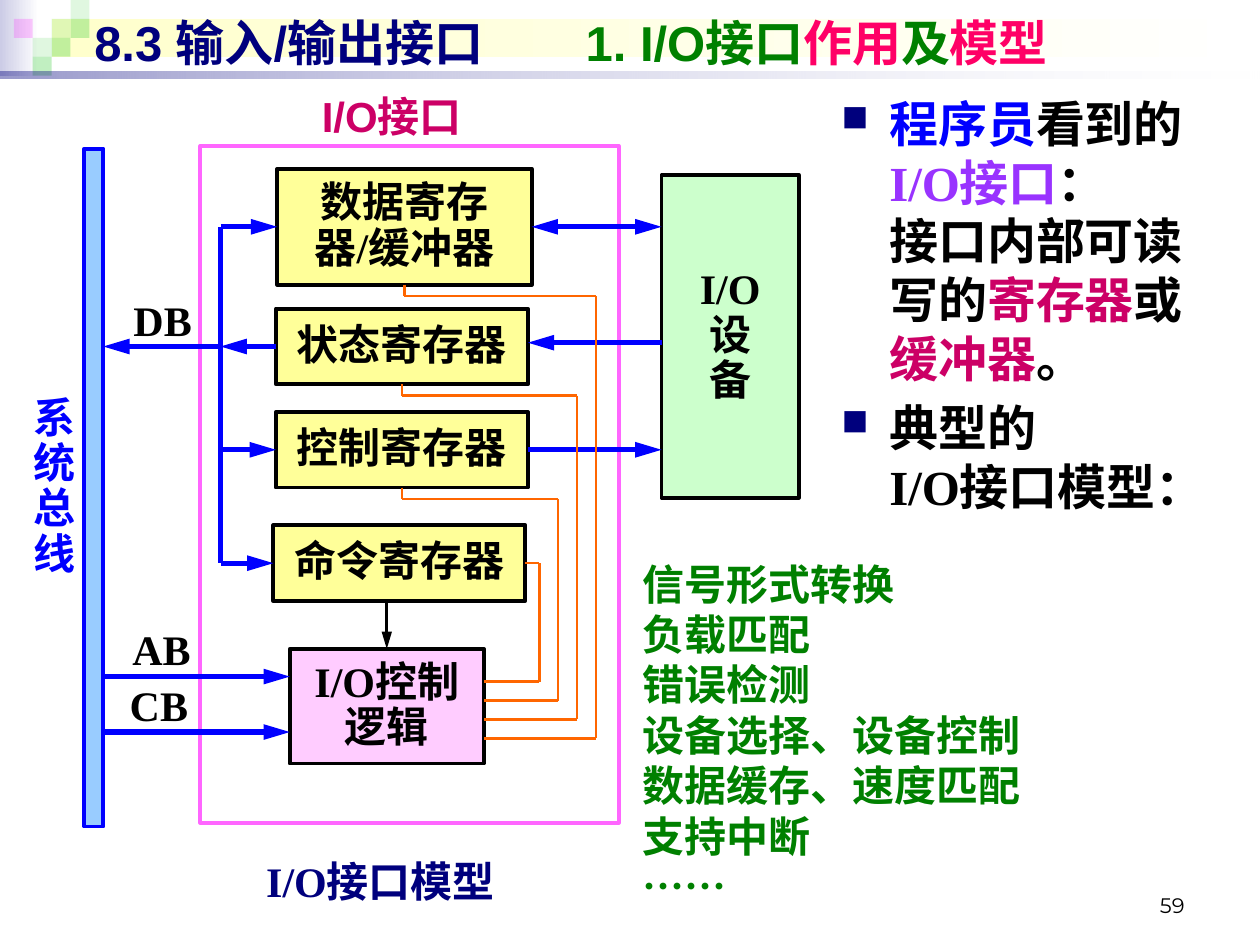
from dataclasses import dataclass
from typing import Any, NamedTuple, Optional

from lxml.etree import SubElement as Sub
from pptx import Presentation
from pptx.dml.color import RGBColor as Rgb
from pptx.enum.shapes import MSO_CONNECTOR as Link, MSO_SHAPE as Kind
from pptx.enum.text import MSO_ANCHOR as Anchor, PP_ALIGN as Align
from pptx.oxml.ns import qn
from pptx.util import Pt

SCALE = 9144


@dataclass(frozen=True)
class Theme:
    """Hold the colours, fonts and type sizes."""
    navy: str = "00007D"
    blue: str = "0000FF"
    sky: str = "99CCFF"
    black: str = "000000"
    white: str = "FFFFFF"
    cream: str = "FFFFCC"
    mist: str = "CCCCE6"
    lime: str = "33CC33"
    pink: str = "FF00FF"
    frame: str = "FF66FF"
    yellow: str = "FFFF99"
    mint: str = "CCFFCC"
    rose: str = "FFCCFF"
    orange: str = "FF6600"
    green: str = "008000"
    red: str = "FF0066"
    wine: str = "CC0066"
    violet: str = "9933FF"
    serif: str = "Times New Roman"
    sans: str = "Arial"
    cjk: str = "Noto Sans CJK SC"
    foot: str = "Montserrat"
    big: int = 28
    mid: int = 24
    small: int = 12


T = Theme()


class Rect(NamedTuple):
    """Give a place and size in px."""
    x: int
    y: int
    w: int
    h: int


class Span(NamedTuple):
    """Give words in one colour."""
    text: str
    tint: str
    font: Optional[str] = None


@dataclass(frozen=True)
class Look:
    """Describe how a text is set."""
    size: int = T.mid
    font: str = T.serif
    bold: bool = True
    align: Any = Align.CENTER
    anchor: Any = Anchor.MIDDLE
    pad: tuple = (10, 5)
    lead: Optional[float] = 0.9
    gap: int = 0
    mark: bool = False
    tab: int = 0


@dataclass(frozen=True)
class Box:
    """Describe a filled or framed box."""
    rect: Rect
    fill: Optional[str] = None
    line: Optional[str] = None
    words: str = ""


@dataclass(frozen=True)
class Wire:
    """Describe a line between points or box sides."""
    start: tuple
    end: tuple
    tint: str = T.blue
    width: float = 3
    tips: tuple = ("tail",)


class Note(NamedTuple):
    """Describe a text without a box."""
    rect: Rect
    paras: list
    look: Look


def emu(px: float) -> int:
    """Turn px into EMU."""
    return round(px * SCALE)


def put(item: Any, vals: dict) -> None:
    """Set attributes from a dict."""
    for key, val in vals.items():
        setattr(item, key, val)


def plain(words: str, tint: str) -> list:
    """Make one paragraph of each line."""
    return [[Span(row, tint)] for row in words.split("\n")]


def write(shape: Any, paras: list, look: Look) -> None:
    """Fill a shape with paragraphs."""
    frame = shape.text_frame
    side, top = map(emu, look.pad)
    put(frame, dict(word_wrap=True, vertical_anchor=look.anchor, margin_left=side,
                    margin_right=side, margin_top=top, margin_bottom=top))
    for num, spans in enumerate(paras):
        para = frame.add_paragraph() if num else frame.paragraphs[0]
        props = para._p.get_or_add_pPr()
        if look.mark:
            put_mark(props)
        if look.tab:
            Sub(Sub(props, qn("a:tabLst")), qn("a:tab"), pos=str(emu(look.tab)), algn="l")
        put(para, dict(alignment=look.align, line_spacing=look.lead,
                       space_before=Pt(look.gap if num else 0)))
        for span in spans:
            for row, text in enumerate(span.text.split("\n")):
                if row:
                    para.add_line_break()
                run = para.add_run()
                run.text = text
                put(run.font, dict(size=Pt(look.size), bold=look.bold, name=span.font or look.font))
                run.font.color.rgb = Rgb.from_string(span.tint)


def put_mark(props: Any) -> None:
    """Add a square bullet with a hanging indent."""
    props.set("marL", str(emu(38)))
    props.set("indent", str(-emu(38)))
    Sub(Sub(props, qn("a:buClr")), qn("a:srgbClr"), val=T.navy)
    Sub(props, qn("a:buSzPct"), val="75000")
    Sub(props, qn("a:buChar"), char="■")


def draw(shapes: Any, box: Box) -> Any:
    """Draw a box with its words."""
    shape = shapes.add_shape(Kind.RECTANGLE, *map(emu, box.rect))
    shape.shadow.inherit = False
    if box.fill:
        shape.fill.solid()
        shape.fill.fore_color.rgb = Rgb.from_string(box.fill)
    else:
        shape.fill.background()
    if box.line:
        shape.line.color.rgb = Rgb.from_string(box.line)
        shape.line.width = Pt(2.25)
    else:
        shape.line.fill.background()
    if box.words:
        write(shape, plain(box.words, T.black), Look())
    return shape


def fade(shape: Any, *rates: int) -> None:
    """Set the opacity of each fill colour in percent."""
    for tint, rate in zip(shape.element.spPr.iter(qn("a:srgbClr")), rates):
        Sub(tint, qn("a:alpha"), val=str(rate * 1000))


def blend(shapes: Any, rect: Rect, tints: tuple, rates: tuple = ()) -> None:
    """Draw a band that runs from one colour to another."""
    shape = draw(shapes, Box(rect))
    shape.fill.gradient()
    shape.fill.gradient_angle = 0
    for stop, tint in zip(shape.fill.gradient_stops, tints):
        stop.color.rgb = Rgb.from_string(tint)
    fade(shape, *rates)


def spot(end: tuple, boxes: dict) -> tuple:
    """Find the point of a wire's end."""
    if not isinstance(end[0], str):
        return end
    x, y, w, h = boxes[end[0]].rect
    return ((x + w // 2, y), (x, y + h // 2), (x + w // 2, y + h), (x + w, y + h // 2))[end[1]]


def join(shapes: Any, wire: Wire, boxes: dict, made: dict) -> None:
    """Draw a wire and tie it to its boxes."""
    ends = (wire.start, wire.end)
    line = shapes.add_connector(Link.STRAIGHT, *(emu(v) for end in ends for v in spot(end, boxes)))
    for end, tie in zip(ends, (line.begin_connect, line.end_connect)):
        if isinstance(end[0], str):
            tie(made[end[0]], end[1])
    line.line.color.rgb = Rgb.from_string(wire.tint)
    line.line.width = Pt(wire.width)
    for tip in wire.tips:
        Sub(line.line._get_or_add_ln(), qn(f"a:{tip}End"), type="triangle", w="med", len="lg")
    Sub(line.element.spPr, qn("a:effectLst"))


BOXES = {
    "data": Box(Rect(220, 134, 202, 92), T.yellow, T.black, "数据寄存器/缓冲器"),
    "state": Box(Rect(219, 245, 200, 60), T.yellow, T.black, "状态寄存器"),
    "control": Box(Rect(219, 327, 200, 60), T.yellow, T.black, "控制寄存器"),
    "command": Box(Rect(217, 417, 200, 60), T.yellow, T.black, "命令寄存器"),
    "logic": Box(Rect(230, 515, 154, 91), T.rose, T.black, "I/O控制\n逻辑"),
    "device": Box(Rect(525, 139, 109, 256), T.mint, T.black, "I/O\n设\n备"),
    "bus": Box(Rect(67, 118, 15, 538), T.sky, T.blue),
    "frame": Box(Rect(159, 116, 332, 537), None, T.frame),
}
WIRES = [
    Wire((175, 180), (175, 447), tips=()),
    *(Wire((175, spot((name, 1), BOXES)[1]), (name, 1)) for name in ("data", "control", "command")),
    Wire(("state", 1), (175, 275)),
    Wire((173, 275), (82, 275)),
    *(Wire((82, y), (230, y)) for y in (537, 581)),
    Wire((525, 272), (419, 272)),
    Wire(("control", 3), (525, 357)),
    Wire(("data", 3), (525, 180), tips=("head", "tail")),
    Wire((307, 477), ("logic", 0), T.black, 1.5),
]
TILES = ((41, 15, T.lime, 15), (56, 0, T.lime, 15), (56, 15, T.lime, 30), (26, 30, T.lime, 15),
         (11, 15, T.pink, 20), (41, 30, T.lime, 30), (26, 45, T.lime, 30))
TAG = Look(pad=(0, 0), align=Align.JUSTIFY)
HEAD = Look(T.big, T.sans, align=Align.LEFT, lead=None, tab=390)
BODY = Look(T.big, align=Align.LEFT, anchor=Anchor.TOP, lead=None, gap=6, mark=True)
LIST = Look(align=Align.LEFT, anchor=Anchor.TOP, lead=None)
NOTES = [
    Note(Rect(717, 683, 233, 50), plain("59", T.black),
         Look(T.small, T.foot, False, Align.RIGHT, Anchor.BOTTOM, lead=None)),
    Note(Rect(65, 5, 900, 57), [[
        Span("8.3 输入/输出接口\t", T.navy), Span("1. I/O接口", T.green), Span("作用", T.red),
        Span("及", T.green), Span("模型", T.red)]], HEAD),
    Note(Rect(27, 280, 40, 214), plain("系\n统\n总\n线", T.blue), TAG),
    Note(Rect(249, 76, 124, 36), plain("I/O接口", T.wine), Look(font=T.sans, pad=(0, 0))),
    Note(Rect(121, 677, 362, 49), plain("I/O接口模型", T.navy), Look(pad=(0, 0))),
    *(Note(Rect(x, y, 50, 40), plain(name, T.black), TAG)
      for x, y, name in ((106, 236, "DB"), (105, 497, "AB"), (103, 542, "CB"))),
    Note(Rect(658, 69, 307, 361), [
        [Span("程序员", T.blue), Span("看到的", T.black), Span("I/O接口", T.violet),
         Span("：\n接口内部可读写的", T.black), Span("寄存器", T.wine), Span("或", T.black),
         Span("缓冲器", T.wine), Span("。", T.black)],
        [Span("典型的\nI/O接口模型：", T.black)]], BODY),
    Note(Rect(500, 438, 341, 293), plain(
        "信号形式转换\n负载匹配\n错误检测\n设备选择、设备控制\n数据缓存、速度匹配\n支持中断", T.green)
        + [[Span("……", T.green, T.cjk)]], LIST),
]


def trace() -> list:
    """Route each register back to the control logic."""
    wires = []
    for num, name in enumerate(("data", "state", "control", "command")):
        lane, rail = 473 - 15 * num, 586 - 15 * num
        side = 3 if name == "command" else 2
        x, y = spot((name, side), BOXES)
        bend = [] if side == 3 else [(x, y + 9)]
        level = y if side == 3 else y + 9
        stops = [(name, side), *bend, (lane, level), (lane, rail), (384, rail)]
        wires += [Wire(a, b, T.orange, 1.5, ()) for a, b in zip(stops, stops[1:])]
    return wires


def main() -> None:
    """Build and save the slide."""
    deck = Presentation()
    put(deck, dict(slide_width=emu(1000), slide_height=emu(750)))
    shapes = deck.slides.add_slide(deck.slide_layouts[6]).shapes
    blend(shapes, Rect(0, 0, 31, 60), (T.mist, T.white))
    blend(shapes, Rect(41, 15, 955, 30), (T.cream, T.white))
    for x, y, tint, rate in TILES:
        fade(draw(shapes, Box(Rect(x, y, 15, 15), tint)), rate)
    blend(shapes, Rect(0, 57, 1000, 5), (T.navy, T.white), (40, 10))
    made = {name: draw(shapes, box) for name, box in BOXES.items()}
    for wire in WIRES + trace():
        join(shapes, wire, BOXES, made)
    for note in NOTES:
        write(shapes.add_textbox(*map(emu, note.rect)), note.paras, note.look)
    deck.save("out.pptx")


if __name__ == "__main__":
    main()
